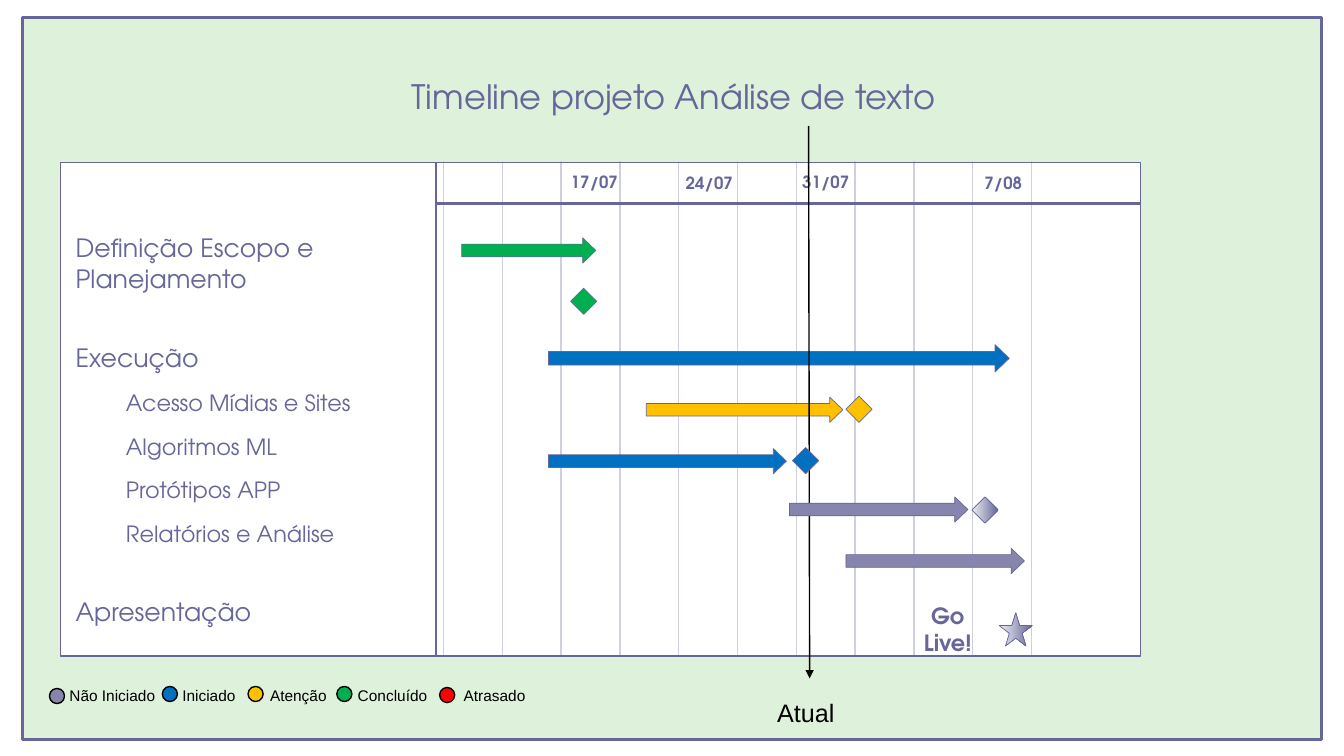
from dataclasses import dataclass

from lxml import etree
from pptx import Presentation
from pptx import util as u
from pptx.dml.color import RGBColor
from pptx.enum import shapes, text
from pptx.oxml import ns

Kind = shapes.MSO_SHAPE
Align = text.PP_ALIGN
Anchor = text.MSO_ANCHOR


@dataclass(frozen=True)
class Theme:
    heading_font: str = "TeX Gyre Adventor"
    body_font: str = "Arial"
    ink: str = "666699"
    backdrop: str = "DEF1DB"
    white: str = "FFFFFF"
    black: str = "000000"
    grid: str = "CFCFDF"
    done: str = "00B050"
    started: str = "0070C0"
    warning: str = "FFC000"
    late: str = "FF0000"
    pending: str = "8585AD"
    fade: tuple = ("EFEFF3", "666699")
    title: int = 24
    phase: int = 18
    task: int = 16
    date: int = 12
    legend: int = 11


class Page:
    def __init__(self, slide, theme):
        self.slide = slide
        self.theme = theme

    def shape(self, kind, left, top, width, height, fill=None, line=None, weight=0.5):
        """fill is a colour, a pair of colours for a gradient, or None."""
        box = self.slide.shapes.add_shape(kind, *map(u.Inches, (left, top, width, height)))
        box.shadow.inherit = False
        if fill is None:
            box.fill.background()
        elif isinstance(fill, tuple):
            box.fill.gradient()
            box.fill.gradient_angle = 0
            for stop, color in zip(box.fill.gradient_stops, fill):
                stop.color.rgb = RGBColor.from_string(color)
        else:
            box.fill.solid()
            box.fill.fore_color.rgb = RGBColor.from_string(fill)
        if line is None:
            box.line.fill.background()
        else:
            box.line.color.rgb = RGBColor.from_string(line)
            box.line.width = u.Pt(weight)
        return box

    def style(self, para, size, font, color, bold=False):
        for span in para.runs:
            span.font.size = u.Pt(size)
            span.font.name = font
            span.font.bold = bold
            span.font.color.rgb = RGBColor.from_string(color)

    def caption(self, box, words, size, font, color, bold=False,
                align=Align.CENTER, anchor=Anchor.MIDDLE, wrap=False):
        frame = box.text_frame
        frame.text = words
        frame.word_wrap = wrap
        frame.vertical_anchor = anchor
        para = frame.paragraphs[0]
        para.alignment = align
        self.style(para, size, font, color, bold)
        return para

    def label(self, left, top, width, height, *args, **options):
        box = self.slide.shapes.add_textbox(*map(u.Inches, (left, top, width, height)))
        return self.caption(box, *args, **options)

    def line(self, x1, y1, x2, y2, color, weight, arrow=False):
        link = self.slide.shapes.add_connector(
            shapes.MSO_CONNECTOR.STRAIGHT, *map(u.Inches, (x1, y1, x2, y2)))
        link.line.color.rgb = RGBColor.from_string(color)
        link.line.width = u.Pt(weight)
        props = link._element.spPr
        if arrow:
            etree.SubElement(props.find(ns.qn("a:ln")), ns.qn("a:tailEnd"), type="triangle")
        etree.SubElement(props, ns.qn("a:effectLst"))

    def bar(self, left, top, width, color, height=0.25):
        arrow = self.shape(Kind.RIGHT_ARROW, left, top, width, height, color, self.theme.ink)
        arrow.adjustments[0] = 0.5
        arrow.adjustments[1] = 0.52

    def milestone(self, left, top, fill):
        self.shape(Kind.DIAMOND, left, top, 0.26, 0.26, fill, self.theme.ink)

    def phases(self, box, rows):
        """Rows are (words, is_task, space before in points)."""
        theme = self.theme
        frame = box.text_frame
        frame.word_wrap = True
        frame.vertical_anchor = Anchor.TOP
        frame.margin_left = frame.margin_right = u.Inches(0.15)
        frame.margin_top = frame.margin_bottom = u.Inches(0.7)
        for index, (words, is_task, gap) in enumerate(rows):
            para = frame.add_paragraph() if index else frame.paragraphs[0]
            para.text = words
            para.alignment = Align.LEFT
            para.space_before = u.Pt(gap)
            if is_task:
                para.level = 1
                props = para._p.get_or_add_pPr()
                props.set("marL", str(u.Inches(0.5)))
                props.set("indent", "0")
            self.style(para, theme.task if is_task else theme.phase,
                       theme.heading_font, theme.ink)


def main():
    theme = Theme()
    deck = Presentation()
    deck.slide_width, deck.slide_height = u.Inches(13.33), u.Inches(7.5)
    page = Page(deck.slides.add_slide(deck.slide_layouts[6]), theme)
    heading = (theme.heading_font, theme.ink)
    body = (theme.body_font, theme.black)
    chart_area = (4.32, 1.61, 6.99, 4.9)

    # Backdrop and title
    page.shape(Kind.RECTANGLE, 0.22, 0.17, 12.89, 7.17, theme.backdrop, theme.ink, 2)
    title = page.label(0.44, 0.75, 12.48, 0.5, "Timeline projeto Análise de texto",
                       theme.title, *heading, anchor=Anchor.TOP, wrap=True)
    title.line_spacing = 0.89

    # Chart area with dates and grid
    page.shape(Kind.RECTANGLE, *chart_area, theme.white)
    for words, left, top, width in (("17/07", 5.61, 1.62, 0.57), ("24/07", 6.75, 1.63, 0.57),
                                    ("31/07", 7.93, 1.62, 0.52), ("7/08", 9.69, 1.63, 0.52)):
        box = page.shape(Kind.RECTANGLE, left, top, width, 0.37, theme.white)
        page.caption(box, words, theme.date, *heading, bold=True)
    first, last, gaps = 4.4, 10.23, 10
    for index in range(gaps + 1):
        x = first + index * (last - first) / gaps
        page.line(x, 1.6, x, 6.52, theme.grid, 1)
    page.line(4.31, 2.02, 11.31, 2.02, theme.ink, 2)

    # Phases and tasks
    panel = page.shape(Kind.RECTANGLE, 0.6, 1.61, 3.73, 4.9, theme.white, theme.ink, 1)
    page.phases(panel, (
        ("Definição Escopo e\vPlanejamento", False, 0),
        ("Execução", False, 35),
        ("Acesso Mídias e Sites", True, 12),
        ("Algoritmos ML", True, 12),
        ("Protótipos APP", True, 12),
        ("Relatórios e Análise", True, 12),
        ("Apresentação", False, 35),
    ))
    page.shape(Kind.RECTANGLE, *chart_area, None, theme.ink, 1)

    # Bars below the current-date line
    page.bar(4.58, 2.36, 1.33, theme.done)
    page.bar(6.41, 3.94, 1.95, theme.warning)
    page.bar(5.44, 3.42, 4.57, theme.started, 0.27)
    page.milestone(5.66, 2.86, theme.done)

    # Launch
    page.shape(Kind.STAR_5_POINT, 9.91, 6.08, 0.33, 0.33, theme.fade, theme.ink)
    page.label(8.9, 6.08, 1, 0.33, "Go Live!", theme.task, *heading, bold=True)

    # Current date
    page.line(8.02, 1.25, 8.03, 6.73, theme.black, 1, arrow=True)
    page.label(7.61, 6.87, 0.98, 0.4, "Atual", theme.phase, *body,
               align=Align.LEFT, anchor=Anchor.TOP, wrap=True)

    # Bars and milestones above the current-date line
    page.bar(5.44, 4.45, 2.36, theme.started)
    page.bar(7.83, 4.93, 1.77, theme.pending)
    page.bar(8.39, 5.44, 1.77, theme.pending)
    page.milestone(8.39, 3.93, theme.warning)
    page.milestone(7.86, 4.44, theme.started)
    page.milestone(9.64, 4.93, theme.fade)

    # Legend
    for words, color, dot_left, dot_top, left, width in (
            ("Não Iniciado", theme.pending, 0.49, 6.83, 0.59, 1.06),
            ("Iniciado", theme.started, 1.61, 6.81, 1.71, 0.73),
            ("Atenção", theme.warning, 2.46, 6.81, 2.58, 0.77),
            ("Concluído", theme.done, 3.34, 6.81, 3.45, 0.9),
            ("Atrasado", theme.late, 4.36, 6.82, 4.5, 0.82)):
        page.shape(Kind.OVAL, dot_left, dot_top, 0.15, 0.15, color, theme.black, 1)
        page.label(left, 6.76, width, 0.29, words, theme.legend, *body,
                   align=Align.LEFT, anchor=Anchor.TOP)

    deck.save("out.pptx")


if __name__ == "__main__":
    main()
